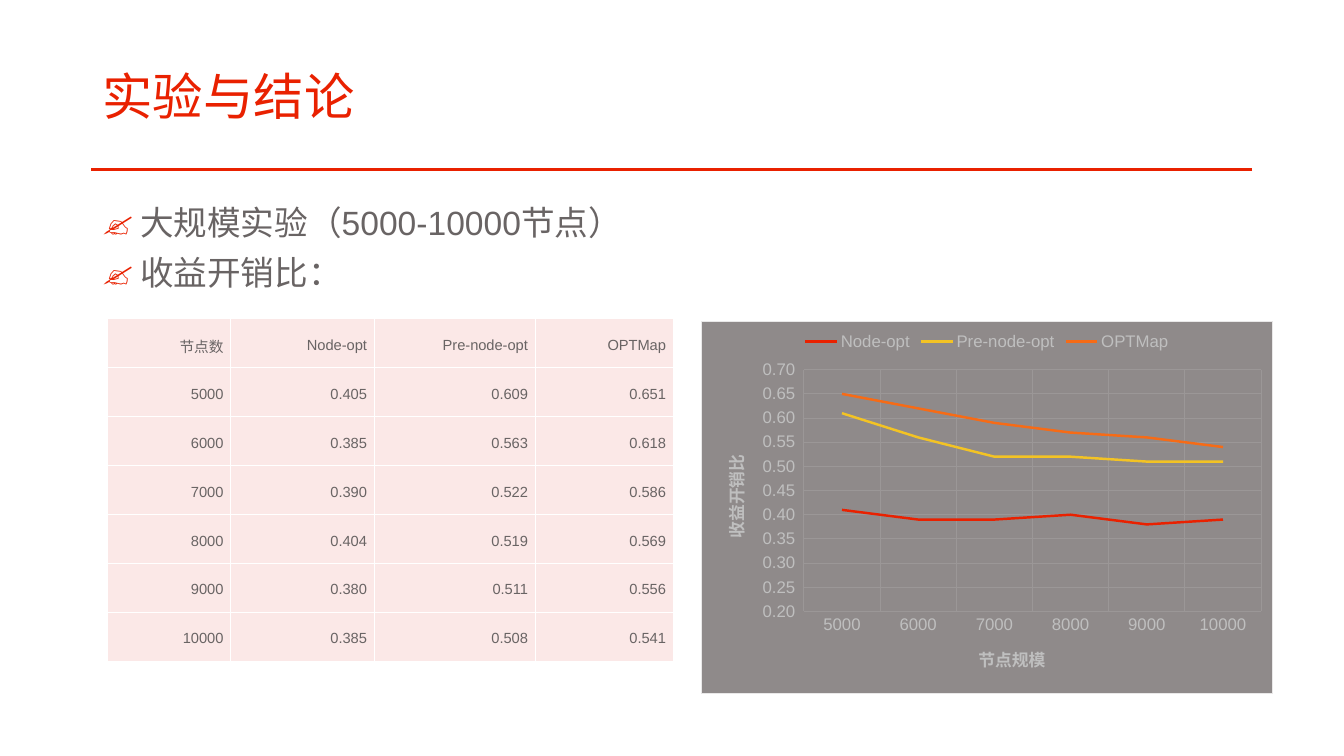
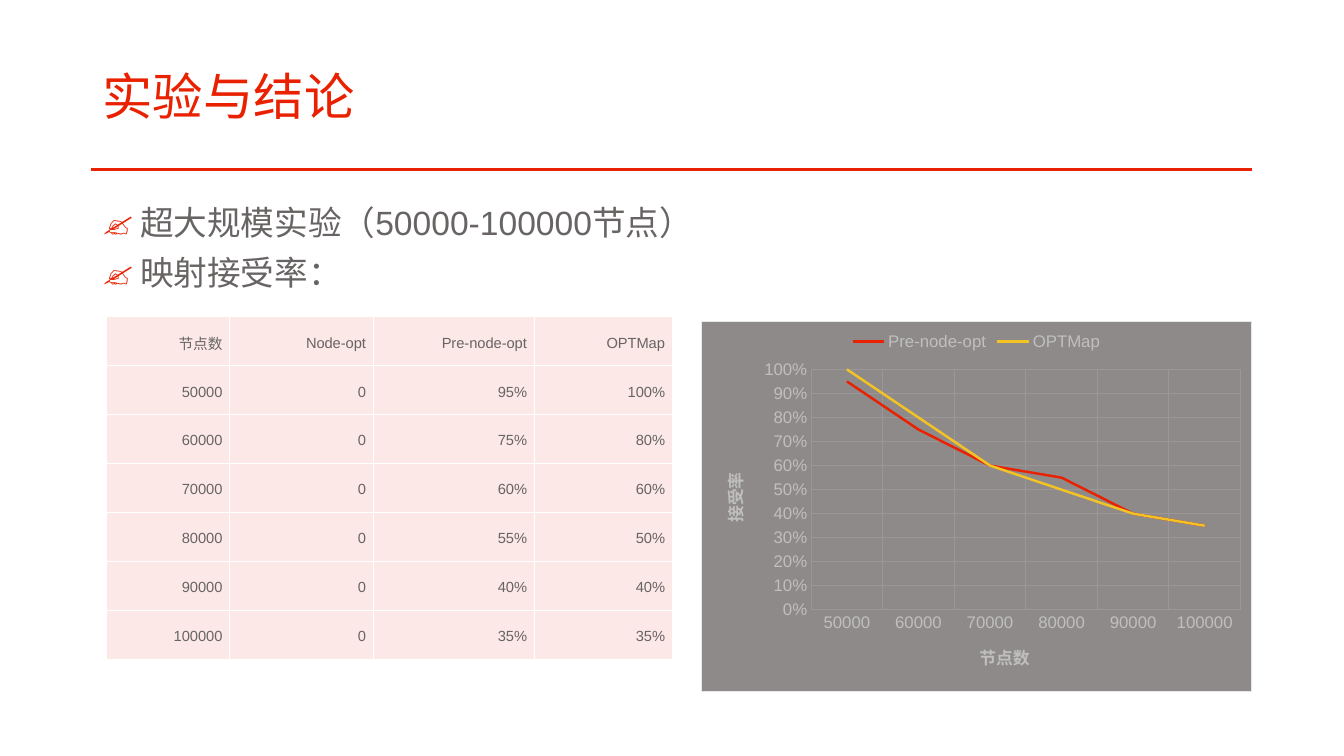
from pptx import Presentation
from pptx.chart.data import CategoryChartData
from pptx.dml.color import RGBColor
from pptx.enum.chart import XL_CHART_TYPE, XL_LEGEND_POSITION, XL_TICK_MARK
from pptx.enum.shapes import MSO_CONNECTOR
from pptx.enum.text import MSO_ANCHOR, PP_ALIGN
from pptx.oxml import parse_xml
from pptx.oxml.ns import nsdecls, qn
from pptx.util import Pt

FONT = "Arial"
RED = "E92100"
YELLOW = "F3C324"
ORANGE = "F66B16"
TEXT = "696464"
CELL = "FBE8E7"
WHITE = "FFFFFF"
CHART_FILL = "8F8A8A"
CHART_BORDER = "E9E8E8"
CHART_TEXT = "BFBFBF"
GRID = "9B9797"
COLUMN_WIDTHS = (87.8, 102.6, 115, 98.6)
ROW_HEIGHT = 35
HEADER = ("节点数", "Node-opt", "Pre-node-opt", "OPTMap")


def color(value):
    return RGBColor.from_string(value)


def number(text):
    return round(float(text.rstrip("%")) / (100 if text.endswith("%") else 1), 2)


def style_font(font, size, value, bold=False):
    font.name = FONT
    font.size = Pt(size)
    font.bold = bold
    font.color.rgb = color(value)


def style_line(line, value, width):
    line.color.rgb = color(value)
    line.width = Pt(width)


def place(element, position, **box):
    for layout in element.findall(qn("c:layout")):
        element.remove(layout)
    target = '<c:layoutTarget val="inner"/>' if "w" in box else ""
    modes = "".join(f'<c:{key}Mode val="edge"/>' for key in "xy")
    values = "".join(f'<c:{key} val="{value}"/>' for key, value in box.items())
    element.insert(position, parse_xml(
        f'<c:layout {nsdecls("c")}><c:manualLayout>{target}{modes}{values}'
        "</c:manualLayout></c:layout>"))


class Deck:
    def __init__(self):
        self.presentation = Presentation()
        self.presentation.slide_width = Pt(960)
        self.presentation.slide_height = Pt(540)
        self.slide = None

    def add_slide(self, title):
        self.slide = self.presentation.slides.add_slide(self.presentation.slide_layouts[5])
        self.add_rule()
        self.add_title(title)

    def add_rule(self):
        rule = self.slide.shapes.add_connector(
            MSO_CONNECTOR.STRAIGHT, Pt(894.5), Pt(121), Pt(65), Pt(121))
        style_line(rule.line, RED, 1.75)
        rule.element.spPr.append(parse_xml(f'<a:effectLst {nsdecls("a")}/>'))

    def add_title(self, text):
        title = self.slide.shapes.title
        title.left, title.top, title.width, title.height = Pt(66), Pt(31.7), Pt(828), Pt(78)
        frame = title.text_frame
        frame.text = text
        frame.vertical_anchor = MSO_ANCHOR.MIDDLE
        paragraph = frame.paragraphs[0]
        paragraph.alignment = PP_ALIGN.LEFT
        paragraph.line_spacing = 0.9
        style_font(paragraph.runs[0].font, 36, RED)

    def add_bullets(self, lines):
        frame = self.slide.shapes.add_textbox(Pt(66), Pt(144), Pt(828), Pt(80)).text_frame
        frame.word_wrap = True
        frame.text = "\n".join(lines)
        for paragraph in frame.paragraphs:
            paragraph.line_spacing = 0.9
            paragraph.space_before = Pt(10)
            style_font(paragraph.runs[0].font, 24, TEXT)
            properties = paragraph._p.get_or_add_pPr()
            properties.set("marL", str(Pt(27)))
            properties.set("indent", str(-Pt(27)))
            for bullet in (f'<a:buClr {nsdecls("a")}><a:srgbClr val="{RED}"/></a:buClr>',
                           f'<a:buFont {nsdecls("a")} typeface="{FONT}"/>',
                           f'<a:buChar {nsdecls("a")} char="✍"/>'):
                properties.append(parse_xml(bullet))

    def add_table(self, left, top, rows):
        table = self.slide.shapes.add_table(
            len(rows), len(HEADER), Pt(left), Pt(top),
            Pt(sum(COLUMN_WIDTHS)), Pt(ROW_HEIGHT * len(rows))).table
        table.first_row = False
        table.horz_banding = False
        for column, width in zip(table.columns, COLUMN_WIDTHS):
            column.width = Pt(width)
        for row_index, values in enumerate(rows):
            table.rows[row_index].height = Pt(ROW_HEIGHT)
            for column_index, value in enumerate(values):
                self.fill_cell(table.cell(row_index, column_index), value, row_index == 0)

    def fill_cell(self, cell, text, is_header):
        cell.text = text
        cell.vertical_anchor = MSO_ANCHOR.MIDDLE
        cell.margin_left = cell.margin_right = Pt(5.2)
        cell.margin_top = cell.margin_bottom = Pt(0)
        paragraph = cell.text_frame.paragraphs[0]
        paragraph.alignment = PP_ALIGN.RIGHT
        paragraph.line_spacing = 1.25
        paragraph.space_before = Pt(12)
        paragraph.space_after = Pt(10 if is_header else 0)
        style_font(paragraph.runs[0].font, 10.5, TEXT)
        properties = cell._tc.get_or_add_tcPr()
        for side in "LRTB":
            properties.append(parse_xml(
                f'<a:ln{side} {nsdecls("a")} w="{Pt(1)}"><a:solidFill>'
                f'<a:srgbClr val="{WHITE}"/></a:solidFill></a:ln{side}>'))
        cell.fill.solid()
        cell.fill.fore_color.rgb = color(CELL)

    def add_chart(self, size, rows, first_series, number_format, scale, titles, plot):
        data = CategoryChartData(number_format=number_format)
        data.categories = [row[0] for row in rows[1:]]
        for index in range(first_series, len(HEADER)):
            data.add_series(HEADER[index], [number(row[index]) for row in rows[1:]])
        width, height = size
        chart = self.slide.shapes.add_chart(
            XL_CHART_TYPE.LINE, Pt(500.4), Pt(229.2), Pt(width), Pt(height), data).chart
        chart.has_title = False
        style_font(chart.font, 10, TEXT)
        chart.element.find(qn("c:txPr")).addprevious(parse_xml(
            f'<c:spPr {nsdecls("c", "a")}><a:solidFill><a:srgbClr val="{CHART_FILL}"/></a:solidFill>'
            f'<a:ln w="{Pt(0.75)}"><a:solidFill><a:srgbClr val="{CHART_BORDER}"/></a:solidFill>'
            "</a:ln></c:spPr>"))
        chart.has_legend = True
        chart.legend.position = XL_LEGEND_POSITION.TOP
        chart.legend.include_in_layout = False
        style_font(chart.legend.font, 12, CHART_TEXT)
        chart.plots[0].vary_by_categories = False
        for series, value in zip(chart.plots[0].series, (RED, YELLOW, ORANGE)):
            series.smooth = False
            style_line(series.format.line, value, 1.75)
        for axis, title in zip((chart.category_axis, chart.value_axis), titles):
            self.style_axis(axis, *title)
        axis = chart.value_axis
        axis.minimum_scale, axis.maximum_scale, axis.major_unit = scale
        axis.tick_labels.number_format = number_format
        axis.tick_labels.number_format_is_linked = False
        axis.axis_title.element.xpath(".//a:bodyPr")[0].set("rot", "-5400000")
        place(chart.element.xpath("c:chart/c:plotArea")[0], 0, **dict(zip("xywh", plot)))

    def style_axis(self, axis, text, x, y):
        axis.major_tick_mark = axis.minor_tick_mark = XL_TICK_MARK.NONE
        axis.format.line.fill.background()
        axis.has_major_gridlines = True
        style_line(axis.major_gridlines.format.line, GRID, 0.75)
        style_font(axis.tick_labels.font, 12, CHART_TEXT)
        frame = axis.axis_title.text_frame
        frame.text = text
        style_font(frame.paragraphs[0].runs[0].font, 12, CHART_TEXT, bold=True)
        place(axis.axis_title.element, 1, x=x, y=y)


def main():
    deck = Deck()

    deck.add_slide("实验与结论")
    deck.add_bullets(("大规模实验（5000-10000节点）", "收益开销比："))
    ratio_rows = (
        HEADER,
        ("5000", "0.405", "0.609", "0.651"),
        ("6000", "0.385", "0.563", "0.618"),
        ("7000", "0.390", "0.522", "0.586"),
        ("8000", "0.404", "0.519", "0.569"),
        ("9000", "0.380", "0.511", "0.556"),
        ("10000", "0.385", "0.508", "0.541"),
    )
    deck.add_table(77, 227.5, ratio_rows)
    deck.add_chart(
        (409, 266.4), ratio_rows, 1, r"#,##0.00_);[Red]\(#,##0.00\)", (0.2, 0.7, 0.05),
        (("节点规模", 0.48, 0.86), ("收益开销比", 0.03, 0.35)), (0.18, 0.13, 0.8, 0.65))

    deck.add_slide("实验与结论")
    deck.add_bullets(("超大规模实验（50000-100000节点）", "映射接受率："))
    acceptance_rows = (
        HEADER,
        ("50000", "0", "95%", "100%"),
        ("60000", "0", "75%", "80%"),
        ("70000", "0", "60%", "60%"),
        ("80000", "0", "55%", "50%"),
        ("90000", "0", "40%", "40%"),
        ("100000", "0", "35%", "35%"),
    )
    deck.add_table(76.3, 226, acceptance_rows)
    deck.add_chart(
        (394, 265), acceptance_rows, 2, "0%", (0, 1, 0.1),
        (("节点数", 0.5, 0.86), ("接受率", 0.03, 0.4)), (0.2, 0.13, 0.78, 0.65))

    deck.presentation.save("out.pptx")


if __name__ == "__main__":
    main()
